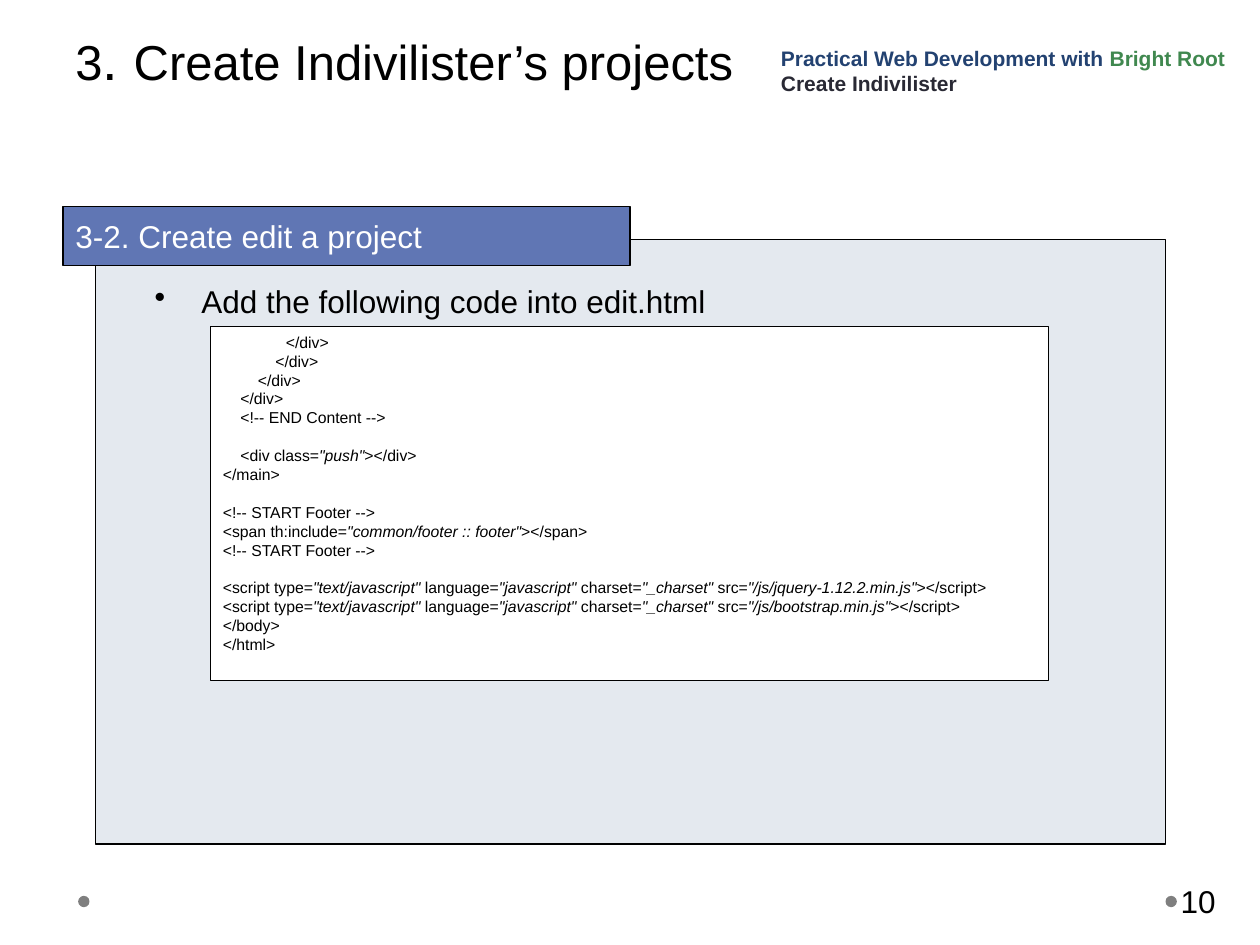
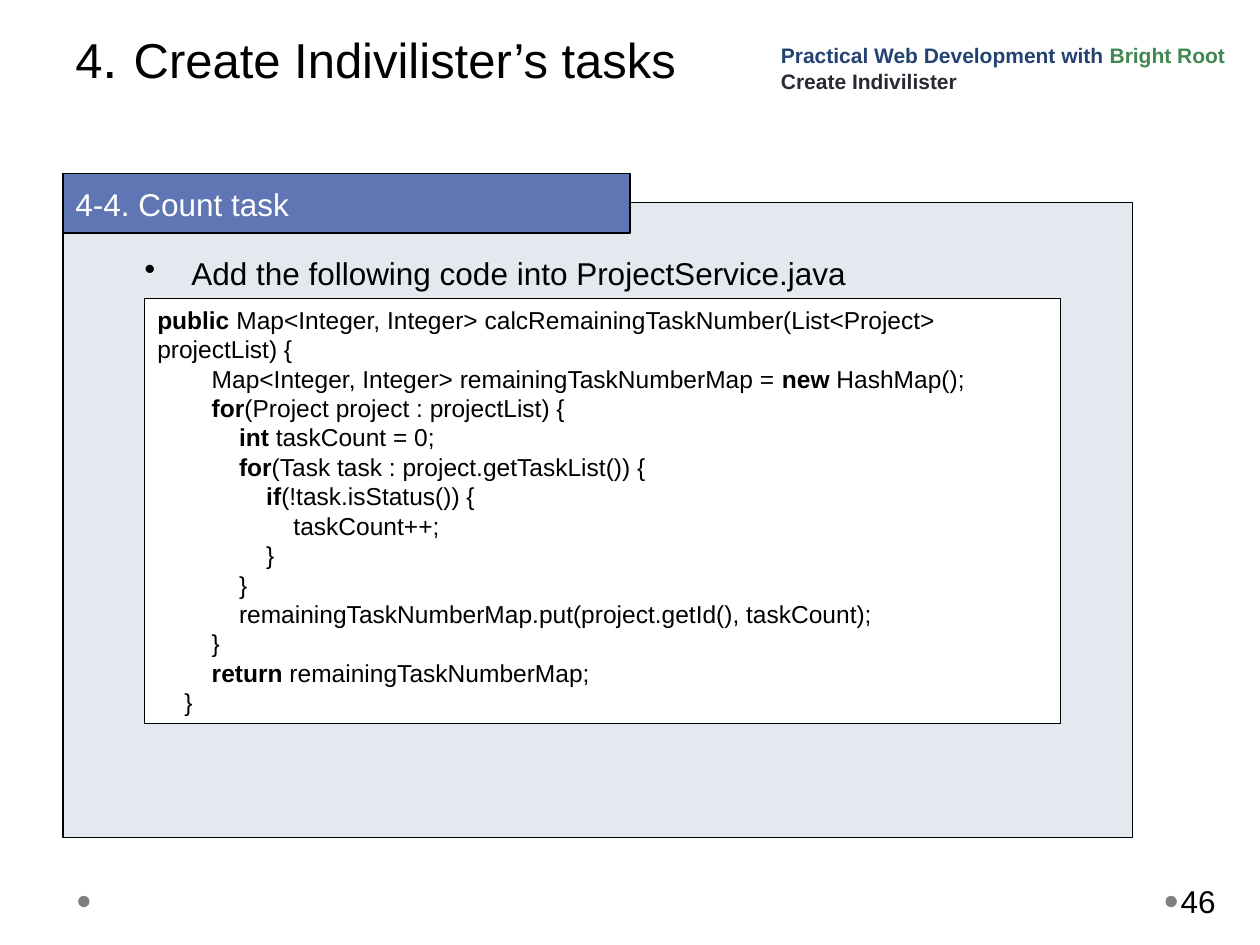
from lxml import etree
from pptx import Presentation
from pptx.dml.color import RGBColor
from pptx.enum import shapes, text
from pptx.oxml import ns
from pptx.util import Inches, Pt

FONT = "Arial"
BLACK = RGBColor(0x00, 0x00, 0x00)
WHITE = RGBColor(0xFF, 0xFF, 0xFF)
GRAY = RGBColor(0x7F, 0x7F, 0x7F)
PANEL = RGBColor(0xE4, 0xE9, 0xEF)
BLUE = RGBColor(0x60, 0x76, 0xB4)
NAVY = RGBColor(0x23, 0x42, 0x71)
GREEN = RGBColor(0x40, 0x88, 0x4F)
DARK = RGBColor(0x29, 0x29, 0x34)

LEAD = 1.2  # line height per point of type
SPACE = 0.278  # width of a space per point of type
TOP, MID, LOW = (text.MSO_ANCHOR.TOP, text.MSO_ANCHOR.MIDDLE,
                 text.MSO_ANCHOR.BOTTOM)

SCRIPT = ('<script type=*"text/javascript"* language=*"javascript"* '
          'charset=*"_charset"* src=*"/js/{}"*></script>')

# Each line: indent level, code with *emphasis*, blank lines above it
HTML = [
    (3.6, "</div>", 0),
    (3, "</div>", 0),
    (2, "</div>", 0),
    (1, "</div>", 0),
    (1, "<!-- END Content -->", 0),
    (1, '<div class=*"push"*></div>', 1),
    (0, "</main>", 0),
    (0, "<!-- START Footer -->", 1),
    (0, '<span th:include=*"common/footer :: footer"*></span>', 0),
    (0, "<!-- START Footer -->", 0),
    (0, SCRIPT.format("jquery-1.12.2.min.js"), 1),
    (0, SCRIPT.format("bootstrap.min.js"), 0),
    (0, "</body>", 0),
    (0, "</html>", 0),
]
JAVA = [
    (0, "*public* Map<Integer, Integer> "
        "calcRemainingTaskNumber(List<Project> projectList) {", 0),
    (2, "Map<Integer, Integer> remainingTaskNumberMap = *new* HashMap();", 0),
    (2, "*for*(Project project : projectList) {", 0),
    (3, "*int* taskCount = 0;", 0),
    (3, "*for*(Task task : project.getTaskList()) {", 0),
    (4, "*if*(!task.isStatus()) {", 0),
    (5, "taskCount++;", 0),
    (4, "}", 0),
    (3, "}", 0),
    (3, "remainingTaskNumberMap.put(project.getId(), taskCount);", 0),
    (2, "}", 0),
    (2, "*return* remainingTaskNumberMap;", 0),
    (1, "}", 0),
]


def add_run(para, words, size=18, color=BLACK, bold=False, italic=False):
    run = para.add_run()
    run.text = words
    font = run.font
    font.name, font.size = FONT, Pt(size)
    font.color.rgb = color
    font.bold, font.italic = bold, italic


def set_para(para, lead, left=0, first=0, before=0):
    para.alignment = text.PP_ALIGN.LEFT
    para.line_spacing = Pt(lead)
    para.space_before = Pt(before)
    props = para._p.get_or_add_pPr()
    props.set("marL", str(Inches(left)))
    props.set("indent", str(Inches(first)))
    return props


def set_frame(shape, anchor=TOP, left=0.1, right=0.1, low=0.05):
    frame = shape.text_frame
    frame.word_wrap = True
    frame.vertical_anchor = anchor
    frame.margin_left, frame.margin_right = Inches(left), Inches(right)
    frame.margin_top, frame.margin_bottom = Inches(0.05), Inches(low)
    return frame


def add_box(slide, at, **form):
    return set_frame(slide.shapes.add_textbox(*map(Inches, at)), **form)


def add_form(slide, kind, at, fill, line=None):
    shape = slide.shapes.add_shape(kind, *map(Inches, at))
    shape.shadow.inherit = False
    shape.fill.solid()
    shape.fill.fore_color.rgb = fill
    if line is None:
        shape.line.fill.background()
    else:
        shape.line.color.rgb = line
        shape.line.width = Pt(0.75)
    return shape


def add_rect(slide, at, fill):
    return add_form(slide, shapes.MSO_SHAPE.RECTANGLE, at, fill, BLACK)


def add_foot(slide, page):
    for left in (9.25, 0.62):
        add_form(slide, shapes.MSO_SHAPE.OVAL, (left, 7.11, 0.09, 0.09), GRAY)
    frame = add_box(slide, (9.34, 6.95, 0.61, 0.4), anchor=MID,
                    left=0.03, right=0.05)
    para = frame.paragraphs[0]
    set_para(para, 18 * LEAD)
    add_run(para, page)


def add_title(slide, top, num, words):
    frame = add_box(slide, (0.5, top, 9, 1.61), anchor=LOW, low=0.9)
    para = frame.paragraphs[0]
    set_para(para, 57.9)
    for part, size in ((num, 28), (". ", 32), (words, 28)):
        add_run(para, part, size=size)


def add_head(slide, top):
    """Course name at the top right."""
    frame = add_box(slide, (6.1, top, 3.9, 0.55), anchor=LOW)
    rows = [
        [("Practical Web Development with ", NAVY), ("Bright Root", GREEN)],
        [("Create Indivilister", DARK)],
    ]
    for i, row in enumerate(rows):
        para = frame.add_paragraph() if i else frame.paragraphs[0]
        set_para(para, 12 * LEAD)
        for words, color in row:
            add_run(para, words, size=12, color=color, bold=True)


def add_tag(slide, top, words):
    shape = add_rect(slide, (0.5, top, 4.5, 0.47), BLUE)
    para = set_frame(shape, anchor=MID).paragraphs[0]
    set_para(para, 18 * LEAD)
    add_run(para, words, color=WHITE)


def add_bullet(slide, at, words):
    para = add_box(slide, at).paragraphs[0]
    props = set_para(para, 18 * LEAD, left=0.37, first=-0.37)
    mark = etree.SubElement(props, ns.qn("a:buChar"))
    mark.set("char", "•")
    add_run(para, words)


def add_code(slide, at, lines, size, style):
    """Code box; style names the run format of the *emphasis*."""
    frame = set_frame(add_rect(slide, at, WHITE))
    lead = size * LEAD
    step = 4 * SPACE * size / 72
    for i, (level, line, gap) in enumerate(lines):
        para = frame.add_paragraph() if i else frame.paragraphs[0]
        set_para(para, lead, left=level * step, before=gap * lead)
        for j, part in enumerate(line.split("*")):
            if part:
                add_run(para, part, size=size, **{style: j % 2 == 1})


def add_page(deck, page, shift, title, panel, tag, bullet, code):
    slide = deck.slides.add_slide(deck.slide_layouts[6])
    add_foot(slide, page)
    add_rect(slide, panel, PANEL)
    add_title(slide, shift, *title)
    add_tag(slide, *tag)
    add_bullet(slide, *bullet)
    add_head(slide, 0.24 + shift)
    add_code(slide, *code)


def main():
    deck = Presentation()
    deck.slide_width, deck.slide_height = Inches(10), Inches(7.5)
    add_page(
        deck, "10", 0.02,
        title=("3", "Create Indivilister’s projects"),
        panel=(0.76, 1.9, 8.49, 4.8),
        tag=(1.64, "3-2. Create edit a project"),
        bullet=((1.13, 2.19, 7.74, 0.4),
                "Add the following code into edit.html"),
        code=((1.67, 2.59, 6.65, 2.81), HTML, 9, "italic"))
    add_page(
        deck, "46", 0,
        title=("4", "Create Indivilister’s tasks"),
        panel=(0.5, 1.61, 8.49, 5.04),
        tag=(1.38, "4-4. Count task"),
        bullet=((1.05, 1.97, 7.24, 0.4),
                "Add the following code into ProjectService.java"),
        code=((1.15, 2.37, 7.27, 3.37), JAVA, 14, "bold"))
    deck.save("out.pptx")


if __name__ == "__main__":
    main()
